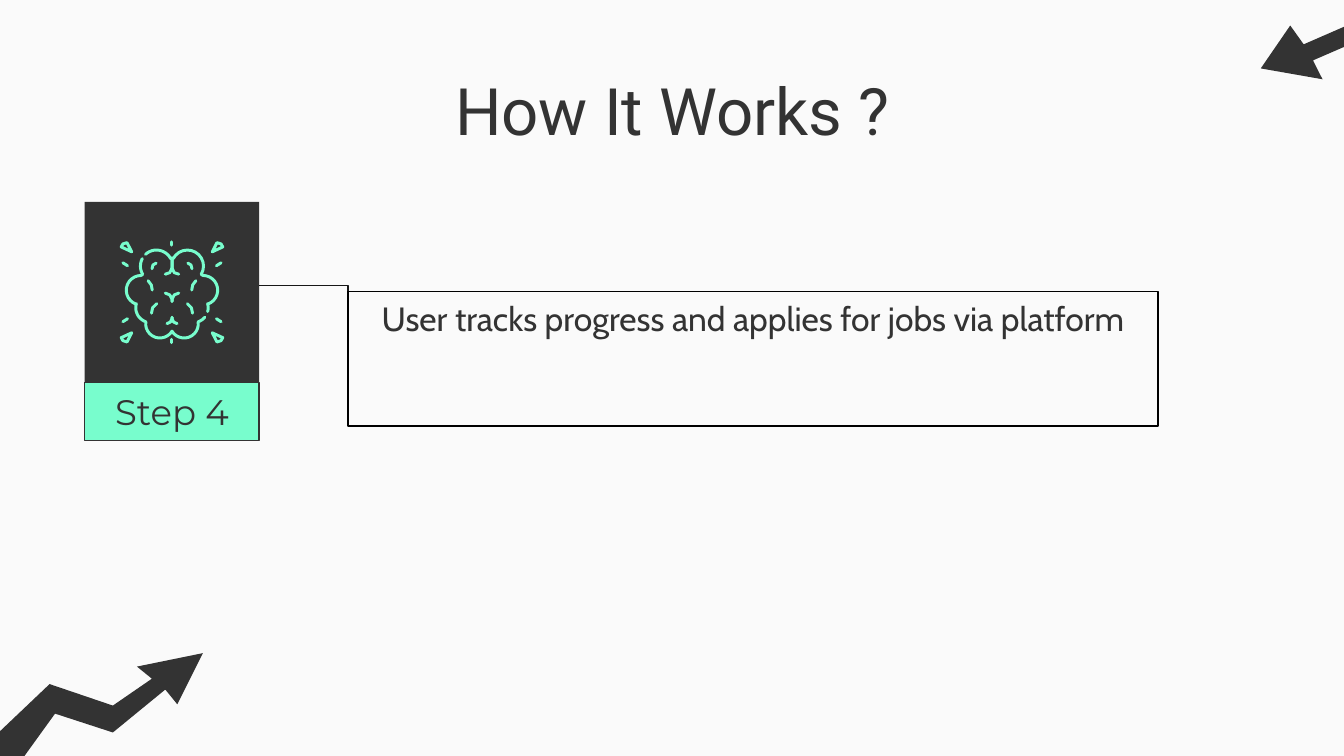
from math import cos, radians, sin

from pptx import Presentation
from pptx.dml.color import RGBColor
from pptx.enum.shapes import MSO_CONNECTOR as Connector, MSO_SHAPE as Shape
from pptx.enum.text import MSO_ANCHOR as Anchor, MSO_AUTO_SIZE as AutoSize, PP_ALIGN as Align
from pptx.oxml.ns import qn
from pptx.util import Pt

PAPER = RGBColor(0xFA, 0xFA, 0xFA)
DARK = RGBColor(0x33, 0x33, 0x33)
MINT = RGBColor(0x78, 0xFD, 0xCD)
BLACK = RGBColor(0, 0, 0)
WIRE = RGBColor(0x17, 0x17, 0x17)

CARD_LEFT, CARD_TOP, CARD_WIDTH = 45.4, 108.2, 93.5
CARD_HEIGHT, LABEL_HEIGHT = 96.8, 31
CARD_RIGHT = CARD_LEFT + CARD_WIDTH
NOTE_LEFT, NOTE_TOP = 186.4, 156.2
ICON_X, ICON_Y = 92.16, 156.6

TOP_LOBE = (-8.3, -14, 8.6)
SIDE_LOBE = (-16.6, -1.1, 7.9)
LOWER_LOBE = (-11.5, 8.3, 7.9)
BASE_LOBE = (-6.5, 16.9, 7.6)

FOLDS = [
    [(0, -18.4), (0, -13), (-1.2, -10.5), (-3.6, -9.7)],
    [(-3.6, 0.4), (-1.2, 1.4), (0, 3.6), (0, 4.9)],
    [(0, 13.4), (0, 14.2), (-0.9, 16), (-2.7, 16.8)],
    [(-12.8, -6.2), (-11.1, -3.9), (-10.6, -1.2)],
    [(-8.2, 6.1), (-10.4, 8.3), (-11, 11.2)],
    [(-8.5, -15.6), (-10.2, -14.6), (-10.7, -12.6)],
]
SPARK = [(-24.1, -26.6), (-21.6, -21.7), (-27.2, -24.3), (-26.3, -25.9), (-24.1, -26.6)]
SIDE_TICK = [(-26.3, -15.8), (-23.8, -14.2)]
TOP_TICK = [(0, -27), (0, -25.2)]

CORNER_ARROW = [
    (708.5, 42.5), (703.4, 32.4), (720, 25.2), (720, 14.4),
    (698.4, 23.8), (691.2, 13.7), (675.4, 36.7),
]
GROWTH_ARROW = [
    (108.7, 349.9), (73.4, 357.1), (81.4, 363.6), (60.5, 378), (26.6, 366.5),
    (-15.1, 406.1), (10.8, 408.2), (29.5, 382.3), (60.5, 392.4),
    (88.6, 369.4), (95, 377.3),
]


def arc(lobe, start, end, steps=12):
    cx, cy, radius = lobe
    angles = [radians(start + (end - start) * i / steps) for i in range(steps + 1)]
    return [(cx + radius * cos(a), cy + radius * sin(a)) for a in angles]


def flip(points, x=1, y=1):
    return [(x * px, y * py) for px, py in points]


def add_outline(shapes, points, close):
    emu = [(Pt(x), Pt(y)) for x, y in points]
    builder = shapes.build_freeform(*emu[0])
    builder.add_line_segments(emu[1:], close=close)
    sp = builder.convert_to_shape()
    sp.shadow.inherit = False
    return sp


def add_solid(shapes, points):
    sp = add_outline(shapes, points, True)
    sp.fill.solid()
    sp.fill.fore_color.rgb = DARK
    sp.line.fill.background()


def add_stroke(shapes, points):
    sp = add_outline(shapes, [(ICON_X + x, ICON_Y + y) for x, y in points], False)
    sp.fill.background()
    sp.line.color.rgb = MINT
    sp.line.width = Pt(1.6)
    ln = sp.line._get_or_add_ln()
    ln.set("cap", "rnd")
    ln.append(ln.makeelement(qn("a:round"), {}))


def add_box(shapes, left, top, width, height, fill=None, line=None):
    sp = shapes.add_shape(Shape.RECTANGLE, Pt(left), Pt(top), Pt(width), Pt(height))
    sp.shadow.inherit = False
    if fill is None:
        sp.fill.background()
    else:
        sp.fill.solid()
        sp.fill.fore_color.rgb = fill
    if line is None:
        sp.line.fill.background()
    else:
        sp.line.color.rgb = line
        sp.line.width = Pt(0.75)
    return sp


def set_text(sp, text, font, size, anchor=Anchor.TOP):
    tf = sp.text_frame
    tf.word_wrap = True
    tf.vertical_anchor = anchor
    p = tf.paragraphs[0]
    p.text = text
    p.alignment = Align.CENTER
    p.font.name = font
    p.font.size = Pt(size)
    p.font.color.rgb = DARK
    return tf


def set_insets(tf, inset):
    tf.margin_left = tf.margin_right = tf.margin_top = tf.margin_bottom = Pt(inset)


def add_title(shapes, text):
    sp = shapes.add_textbox(Pt(56.9), Pt(35.3), Pt(607), Pt(45.4))
    tf = set_text(sp, text, "Roboto", 35)
    set_insets(tf, 7.2)
    tf.paragraphs[0].line_spacing = 0.9


def add_elbow(shapes, x1, y1, x2, y2):
    cxn = shapes.add_connector(Connector.ELBOW, Pt(x1), Pt(y1), Pt(x2), Pt(y2))
    cxn.line.color.rgb = WIRE
    cxn.line.width = Pt(0.75)
    props = cxn._element.spPr
    props.find(qn("a:prstGeom")).set("prst", "bentConnector2")
    props.append(props.makeelement(qn("a:effectLst"), {}))


def add_brain(shapes):
    icon = shapes.add_group_shape().shapes
    base = arc(BASE_LOBE, 188, 31)
    left = arc(TOP_LOBE, 208, 149) + arc(SIDE_LOBE, 270, 110) + arc(LOWER_LOBE, 196, 111) + base
    right = arc(LOWER_LOBE, 140, 111) + base
    add_stroke(icon, left + flip(right, x=-1)[::-1])
    crown = arc(TOP_LOBE, 332, 149) + arc(SIDE_LOBE, 270, 110) + arc(LOWER_LOBE, 196, 165)
    add_stroke(icon, arc(TOP_LOBE, 227, 332) + flip(crown, x=-1))
    for side in (1, -1):
        for fold in FOLDS:
            add_stroke(icon, flip(fold, x=side))
        for end in (1, -1):
            add_stroke(icon, flip(SPARK, side, end))
            add_stroke(icon, flip(SIDE_TICK, side, end))
    for end in (1, -1):
        add_stroke(icon, flip(TOP_TICK, y=end))


def main():
    prs = Presentation()
    prs.slide_width, prs.slide_height = Pt(720), Pt(405)
    s = prs.slides.add_slide(prs.slide_layouts[6])
    s.background.fill.solid()
    s.background.fill.fore_color.rgb = PAPER
    shapes = s.shapes

    add_box(shapes, CARD_LEFT, CARD_TOP, CARD_WIDTH, CARD_HEIGHT, fill=DARK)
    add_title(shapes, "How It Works ?")
    add_brain(shapes)
    add_solid(shapes, CORNER_ARROW)
    add_elbow(shapes, CARD_RIGHT, 152.8, NOTE_LEFT, 181.8)
    add_solid(shapes, GROWTH_ARROW)

    label = add_box(shapes, CARD_LEFT, CARD_TOP + CARD_HEIGHT, CARD_WIDTH, LABEL_HEIGHT, MINT, DARK)
    set_insets(set_text(label, "Step 4", "Montserrat", 19, Anchor.MIDDLE), 7.2)

    note = add_box(shapes, NOTE_LEFT, NOTE_TOP, 434, 72, line=BLACK)
    set_text(note, "User tracks progress and applies for jobs via platform", "Cabin", 18)
    note.text_frame.auto_size = AutoSize.NONE

    prs.save("out.pptx")


if __name__ == "__main__":
    main()
